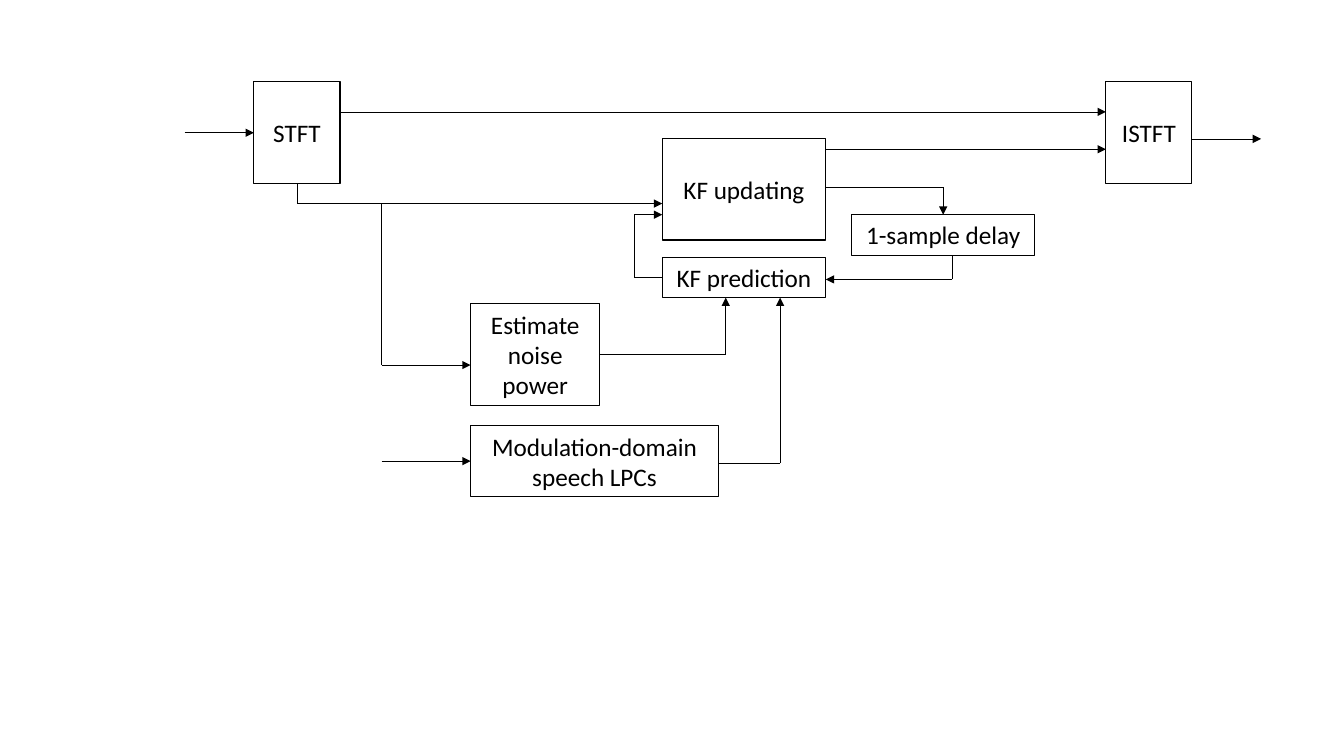
from dataclasses import dataclass
from itertools import pairwise
from typing import NamedTuple

from lxml.etree import SubElement
from pptx import Presentation
from pptx.dml.color import RGBColor
from pptx.enum.shapes import MSO_CONNECTOR, MSO_SHAPE
from pptx.enum.text import MSO_ANCHOR, MSO_AUTO_SIZE, PP_ALIGN
from pptx.oxml.ns import qn
from pptx.shapes.autoshape import Shape
from pptx.shapes.shapetree import SlideShapes
from pptx.util import Cm, Pt

BLACK = RGBColor(0x00, 0x00, 0x00)
TOP, LEFT, BOTTOM, RIGHT = range(4)

FRAME_FORMAT = {
    "word_wrap": True,
    "auto_size": MSO_AUTO_SIZE.NONE,
    "vertical_anchor": MSO_ANCHOR.MIDDLE,
}
FONT_FORMAT = {"name": "Calibri", "size": Pt(18)}


@dataclass(frozen=True)
class Block:
    """A processing step; lengths in centimetres."""
    label: str
    left: float
    top: float
    width: float
    height: float

    @property
    def right(self) -> float:
        return self.left + self.width

    @property
    def bottom(self) -> float:
        return self.top + self.height


class Spot(NamedTuple):
    x: float
    y: float


@dataclass(frozen=True)
class Port:
    """The middle of one side of a block, where a signal is joined."""
    block: Block
    side: int

    @property
    def x(self) -> float:
        b = self.block
        return {LEFT: b.left, RIGHT: b.right}.get(self.side, b.left + b.width / 2)

    @property
    def y(self) -> float:
        b = self.block
        return {TOP: b.top, BOTTOM: b.bottom}.get(self.side, b.top + b.height / 2)


@dataclass(frozen=True)
class Signal:
    """A path through its points, with an arrowhead at the last one."""
    points: tuple[Spot | Port, ...]


stft = Block("STFT", 6.4, 2.06, 2.17, 2.57)
istft = Block("ISTFT", 27.87, 2.06, 2.17, 2.57)
updating = Block("KF updating", 16.69, 3.48, 4.12, 2.57)
prediction = Block("KF prediction", 16.69, 6.48, 4.12, 1.02)
delay = Block("1-sample delay", 21.46, 5.41, 4.62, 1.02)
noise = Block("Estimate noise power", 11.86, 7.65, 3.26, 2.57)
lpcs = Block("Modulation-domain speech LPCs", 11.86, 10.72, 6.25, 1.8)
BLOCKS = (stft, noise, lpcs, updating, prediction, delay, istft)

stft_in, stft_out = Port(stft, LEFT), Port(stft, BOTTOM)
noise_out, lpcs_in = Port(noise, RIGHT), Port(lpcs, LEFT)
prediction_out, delay_in = Port(prediction, LEFT), Port(delay, TOP)

BRANCH_X = 9.62
SPECTRUM_Y = 5.13
PHASE_Y = 2.82
ENHANCED_Y = 3.76
OUTPUT_Y = 3.5
NOISE_IN_Y = 9.2
NOISE_X, LPCS_X = 18.29, 19.66
LPCS_OUT_Y = 11.67
FEEDBACK_X, FEEDBACK_Y = 15.98, 5.41
STATE_Y = 4.72
DELAYED_X, DELAYED_Y = 24.0, 7.04

SIGNALS = (
    Signal((Spot(4.65, stft_in.y), stft_in)),
    Signal((Spot(stft.right, PHASE_Y), Spot(istft.left, PHASE_Y))),
    Signal((stft_out, Spot(stft_out.x, SPECTRUM_Y), Spot(updating.left, SPECTRUM_Y))),
    Signal((Spot(BRANCH_X, SPECTRUM_Y), Spot(BRANCH_X, NOISE_IN_Y),
            Spot(noise.left, NOISE_IN_Y))),
    Signal((Spot(BRANCH_X, lpcs_in.y), lpcs_in)),
    Signal((noise_out, Spot(NOISE_X, noise_out.y), Spot(NOISE_X, prediction.bottom))),
    Signal((Spot(lpcs.right, LPCS_OUT_Y), Spot(LPCS_X, LPCS_OUT_Y),
            Spot(LPCS_X, prediction.bottom))),
    Signal((prediction_out, Spot(FEEDBACK_X, prediction_out.y),
            Spot(FEEDBACK_X, FEEDBACK_Y), Spot(updating.left, FEEDBACK_Y))),
    Signal((Spot(updating.right, STATE_Y), Spot(delay_in.x, STATE_Y), delay_in)),
    Signal((Spot(DELAYED_X, delay.bottom), Spot(DELAYED_X, DELAYED_Y),
            Spot(prediction.right, DELAYED_Y))),
    Signal((Spot(updating.right, ENHANCED_Y), Spot(istft.left, ENHANCED_Y))),
    Signal((Spot(istft.right, OUTPUT_Y), Spot(31.78, OUTPUT_Y))),
)


def apply_format(target: object, values: dict[str, object]) -> None:
    for attribute, value in values.items():
        setattr(target, attribute, value)


def draw_block(shapes: SlideShapes, block: Block) -> Shape:
    box = shapes.add_shape(MSO_SHAPE.RECTANGLE, Cm(block.left), Cm(block.top),
                           Cm(block.width), Cm(block.height))
    box.shadow.inherit = False
    box.fill.background()
    box.line.color.rgb = BLACK
    box.line.width = Pt(0.75)
    apply_format(box.text_frame, FRAME_FORMAT)
    label = box.text_frame.paragraphs[0]
    label.text = block.label
    label.alignment = PP_ALIGN.CENTER
    apply_format(label.font, FONT_FORMAT)
    label.font.color.rgb = BLACK
    return box


def draw_signal(shapes: SlideShapes, signal: Signal, boxes: dict[Block, Shape]) -> None:
    for start, end in pairwise(signal.points):
        segment = shapes.add_connector(MSO_CONNECTOR.STRAIGHT, Cm(start.x), Cm(start.y),
                                       Cm(end.x), Cm(end.y))
        segment.line.color.rgb = BLACK
        segment.line.width = Pt(0.5)
        if end is signal.points[-1]:
            SubElement(segment.line._get_or_add_ln(), qn("a:tailEnd"), type="triangle")
        SubElement(segment._element.spPr, qn("a:effectLst"))
        if isinstance(start, Port):
            segment.begin_connect(boxes[start.block], start.side)
        if isinstance(end, Port):
            segment.end_connect(boxes[end.block], end.side)


def main() -> None:
    deck = Presentation()
    deck.slide_width, deck.slide_height = Cm(33.87), Cm(19.05)
    shapes = deck.slides.add_slide(deck.slide_layouts[6]).shapes
    boxes = {block: draw_block(shapes, block) for block in BLOCKS}
    for signal in SIGNALS:
        draw_signal(shapes, signal, boxes)
    deck.save("out.pptx")


if __name__ == "__main__":
    main()
